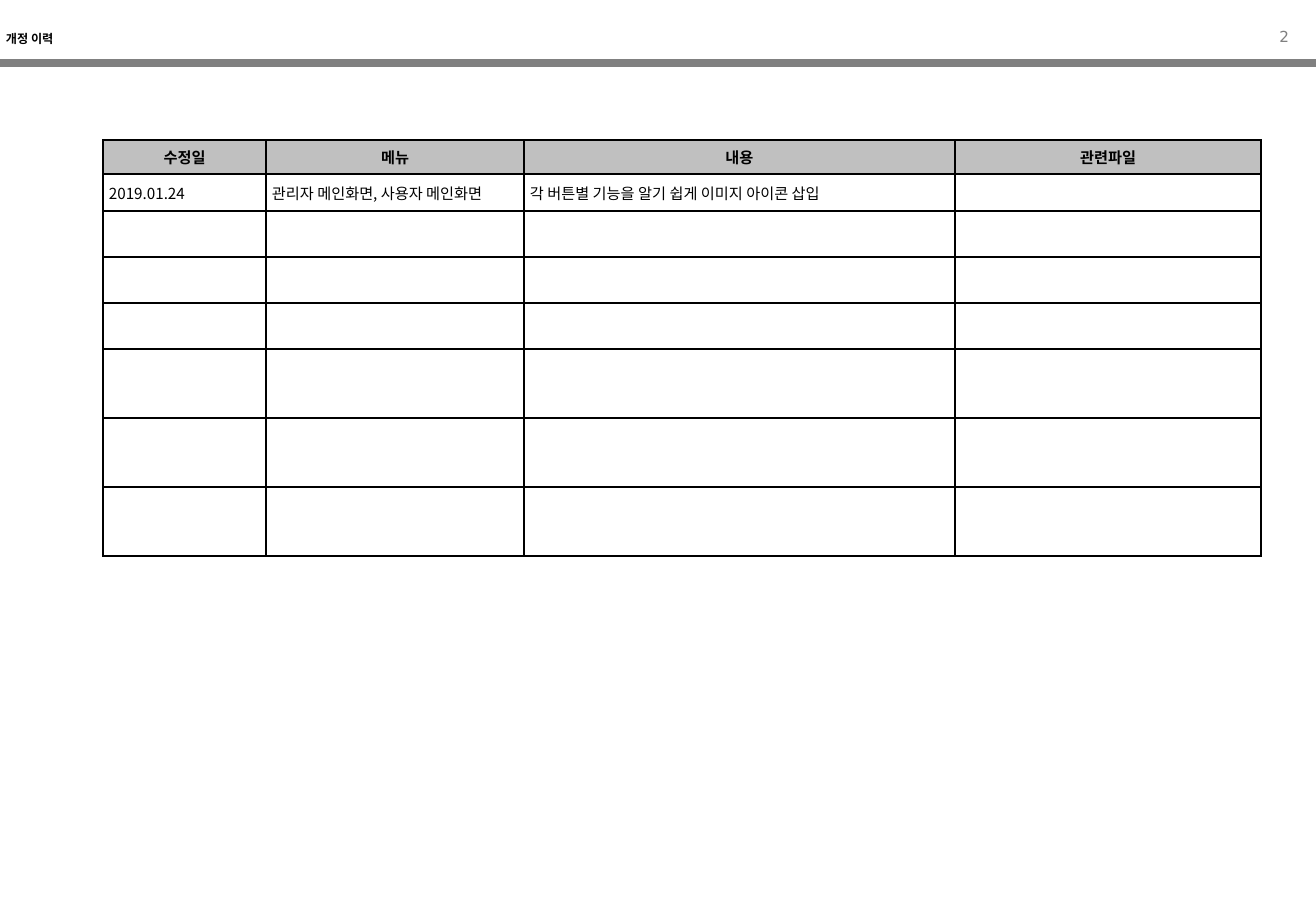
from dataclasses import dataclass

from lxml import etree
from pptx import Presentation
from pptx.dml.color import RGBColor
from pptx.enum.shapes import MSO_CONNECTOR
from pptx.enum.text import MSO_ANCHOR, MSO_AUTO_SIZE, PP_ALIGN
from pptx.oxml.ns import qn
from pptx.util import Emu, Pt

EMU_PER_PX = 914400 / 121.5
SLIDE_W, SLIDE_H = 1316, 911


@dataclass(frozen=True)
class Theme:
    ink: str = "000000"
    grey: str = "808080"
    header_fill: str = "C0C0C0"
    cell_fill: str = "FFFFFF"
    korean: str = "Noto Sans CJK KR"
    number: str = "DejaVu Sans"
    title_size: float = 7.2
    body_size: float = 9
    rule_width: float = 4.5
    border_width: float = 1
    inset: int = 6


THEME = Theme()

COLUMN_WIDTHS = [163, 258, 431, 306]
ROW_HEIGHTS = [34, 37] + [46] * 3 + [69] * 3
HEADINGS = ["수정일", "메뉴", "내용", "관련파일"]
REVISIONS = [
    ["2019.01.24", "관리자 메인화면, 사용자 메인화면",
     "각 버튼별 기능을 알기 쉽게 이미지 아이콘 삽입", ""],
]


def px(length):
    return Emu(round(length * EMU_PER_PX))


def apply(target, formats):
    for name, value in formats.items():
        setattr(target, name, value)


def insets():
    sides = ("left", "right", "top", "bottom")
    return {f"margin_{side}": px(THEME.inset) for side in sides}


def write(paragraph, text, size, face, color, bold=False, align=PP_ALIGN.LEFT):
    paragraph.alignment = align
    run = paragraph.add_run()
    run.text = text
    apply(run.font, {"size": Pt(size), "name": face, "bold": bold})
    run.font.color.rgb = RGBColor.from_string(color)
    # East Asian face for the Korean letters
    etree.SubElement(run.font._element, qn("a:ea"), typeface=face)


def add_title(slide, text):
    title = slide.shapes.title
    apply(title, {"left": px(0), "top": px(25), "width": px(354), "height": px(27)})
    frame = title.text_frame
    apply(frame, {**insets(), "vertical_anchor": MSO_ANCHOR.MIDDLE,
                  "auto_size": MSO_AUTO_SIZE.NONE, "word_wrap": True})
    write(frame.paragraphs[0], text, THEME.title_size, THEME.korean, THEME.ink, bold=True)


def add_header_rule(slide, y):
    rule = slide.shapes.add_connector(
        MSO_CONNECTOR.STRAIGHT, px(0), px(y), px(SLIDE_W), px(y))
    rule.line.width = Pt(THEME.rule_width)
    rule.line.color.rgb = RGBColor.from_string(THEME.grey)
    etree.SubElement(rule._element.spPr, qn("a:effectLst"))


def add_page_number(slide, number):
    box = slide.shapes.add_textbox(px(1272), px(16), px(23), px(30))
    frame = box.text_frame
    apply(frame, {**insets(), "word_wrap": False,
                  "auto_size": MSO_AUTO_SIZE.SHAPE_TO_FIT_TEXT})
    paragraph = frame.paragraphs[0]
    paragraph.line_spacing = 1.3
    write(paragraph, number, THEME.body_size, THEME.number, THEME.grey,
          align=PP_ALIGN.RIGHT)


def add_borders(cell):
    properties = cell._tc.get_or_add_tcPr()
    for position, side in enumerate(("lnL", "lnR", "lnT", "lnB")):
        border = etree.Element(qn(f"a:{side}"), w=str(Pt(THEME.border_width)))
        fill = etree.SubElement(border, qn("a:solidFill"))
        etree.SubElement(fill, qn("a:srgbClr"), val=THEME.ink)
        properties.insert(position, border)


def fill_cell(cell, text, is_heading):
    apply(cell, {**insets(), "vertical_anchor": MSO_ANCHOR.MIDDLE})
    cell.fill.solid()
    cell.fill.fore_color.rgb = RGBColor.from_string(
        THEME.header_fill if is_heading else THEME.cell_fill)
    add_borders(cell)
    paragraph = cell.text_frame.paragraphs[0]
    if text:
        write(paragraph, text, THEME.body_size, THEME.korean, THEME.ink, is_heading,
              PP_ALIGN.CENTER if is_heading else PP_ALIGN.LEFT)
    else:
        # Small type keeps an empty row at its set height
        etree.SubElement(paragraph._p, qn("a:endParaRPr"),
                         sz=str(round(THEME.body_size * 100)))


def add_revision_table(slide, left, top):
    table = slide.shapes.add_table(
        len(ROW_HEIGHTS), len(COLUMN_WIDTHS), px(left), px(top),
        px(sum(COLUMN_WIDTHS)), px(sum(ROW_HEIGHTS))).table
    apply(table, {"first_row": False, "horz_banding": False})
    for column, width in zip(table.columns, COLUMN_WIDTHS):
        column.width = px(width)
    blank_rows = len(ROW_HEIGHTS) - 1 - len(REVISIONS)
    contents = [HEADINGS, *REVISIONS] + [[""] * len(HEADINGS)] * blank_rows
    for index, (row, height) in enumerate(zip(table.rows, ROW_HEIGHTS)):
        row.height = px(height)
        for cell, text in zip(row.cells, contents[index]):
            fill_cell(cell, text, is_heading=index == 0)


def main():
    presentation = Presentation()
    apply(presentation, {"slide_width": px(SLIDE_W), "slide_height": px(SLIDE_H)})
    slide = presentation.slides.add_slide(presentation.slide_layouts[5])
    # Page header
    add_header_rule(slide, 63)
    add_page_number(slide, "2")
    add_title(slide, "개정 이력")
    # Revision history
    add_revision_table(slide, 103, 140)
    presentation.save("out.pptx")


if __name__ == "__main__":
    main()
